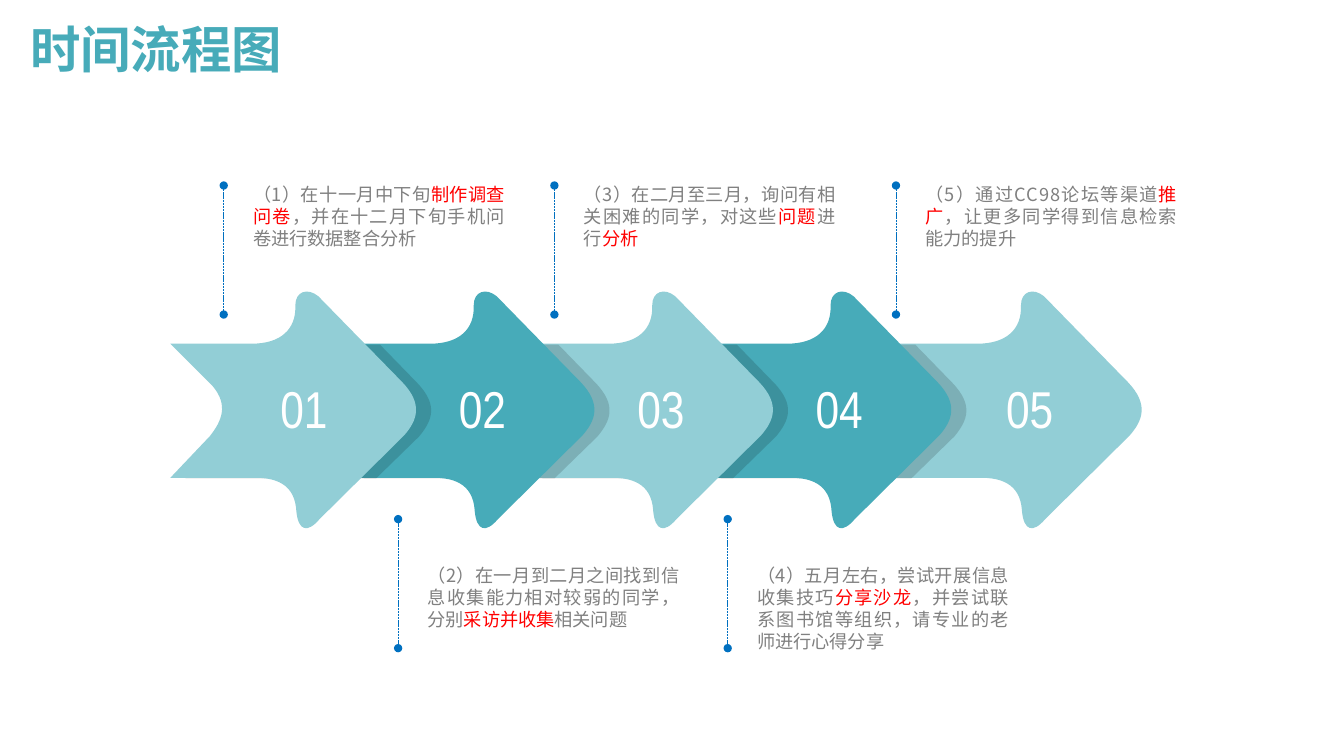
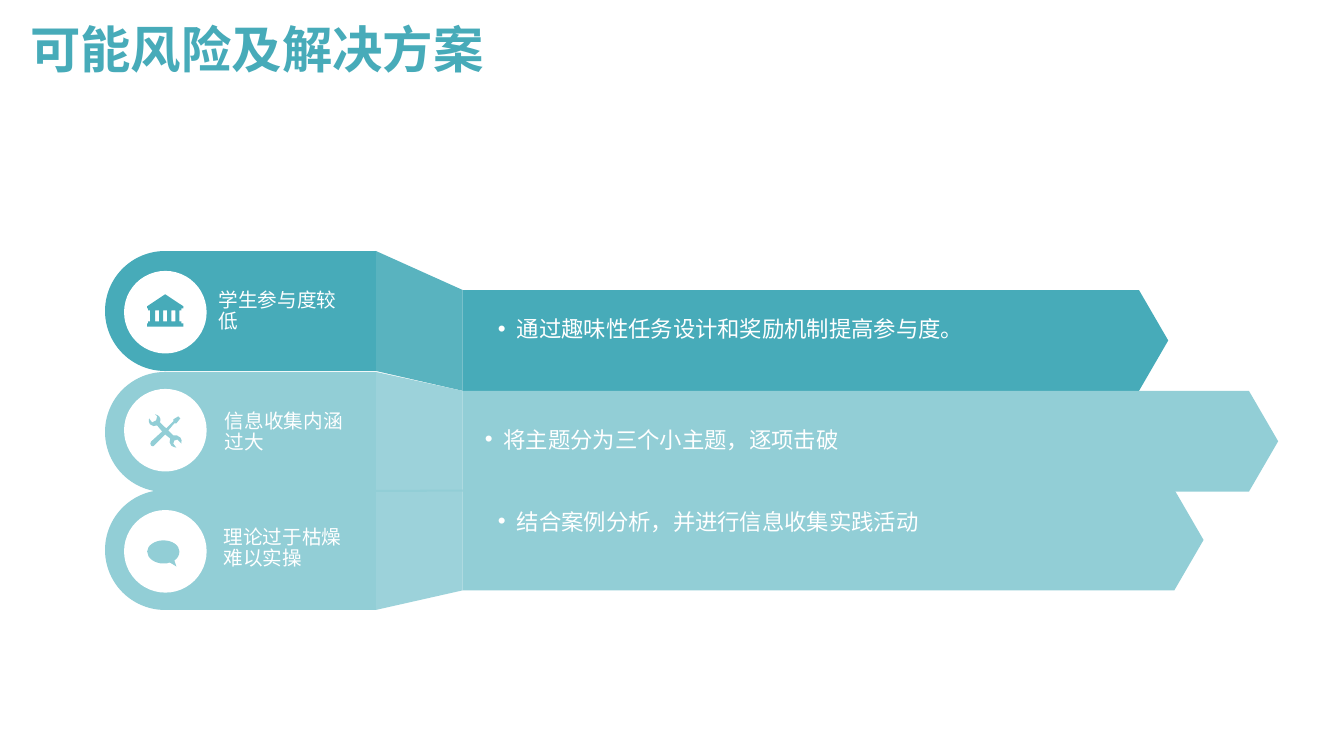
import pptx
import pptx.dml.color
import pptx.enum.dml
import pptx.enum.shapes
import pptx.enum.text
import pptx.oxml
import pptx.oxml.ns
import pptx.util

Pt = pptx.util.Pt
qn = pptx.oxml.ns.qn
PRESET = pptx.enum.shapes.MSO_SHAPE
ALIGN = pptx.enum.text.PP_ALIGN

COLORS = {
    "teal": "47ABB9",
    "pale": "92CED6",
    "blue": "0070C0",
    "gray": "808080",
    "red": "FF0000",
    "white": "FFFFFF",
    "black": "000000",
}
TITLE_FONT = "Montserrat"
NUMBER_FONT = "Arial Narrow"
BODY_FONT = "Noto Sans CJK SC"

# Outlines hold (x, y) for a line and (x1, y1, x2, y2, x, y) for a curve.
STEP_ARROW = [
    (0, 0), (58.3, 0), (78.5, 0, 90, -10, 89.3, -27.4),
    (89.3, -37.4, 98, -40.3, 105.8, -33.8), (165.6, 27.4),
    (180.7, 43.2, 176.4, 54.7, 167, 65.5), (106.6, 125.3),
    (98, 135.4, 91.4, 134, 90, 119.5), (89.3, 107.3, 83.5, 95.8, 61.2, 95.8),
    (0, 95.8), (28.1, 66.2), (36.7, 55.4, 41.8, 44, 30.2, 30.2),
]
STEP_SHADE = [
    (11.5, 0.7), (149.8, 0.7), (176.4, 28.1),
    (191.5, 44, 187.2, 54.7, 177.8, 66.2), (147, 96.2), (10.8, 96.2),
    (39, 67), (47.5, 56.2, 52.6, 44.6, 41, 31),
]
BANK = [
    [(34, 16), (34, 14), (36, 14), (36, 12), (18, 0), (0, 12), (0, 14), (1, 14),
     (1, 16), (3, 16), (3, 27), (1, 27), (1, 29), (0, 29), (0, 32), (36, 32),
     (36, 29), (34, 29), (34, 27), (32, 27), (32, 16)],
] + [[(x + 4, 27), (x, 27), (x, 16), (x + 4, 16)] for x in (8, 16, 24)]
TOOLS = [[
    (32, 23), (30, 21, 27, 20, 25, 21), (20, 16), (26, 9), (28, 9), (32, 4),
    (30, 2), (25, 5), (25, 7), (18, 14), (12, 8), (13, 6, 12, 3, 11, 2),
    (10, 1, 8, 0, 7, 0), (9, 2), (8, 6), (4, 8), (1, 4), (0, 6, 1, 9, 2, 10),
    (4, 12, 7, 12, 9, 11), (14, 17), (3, 27), (2, 28, 2, 30, 3, 31),
    (4, 32, 6, 32, 6, 31), (17, 20), (22, 24), (21, 27, 21, 29, 23, 31),
    (25, 32, 26, 33, 28, 33), (25, 29), (26, 26), (29, 25), (33, 29),
    (34, 27, 33, 24, 32, 23),
]]
BUBBLE = [[
    (32, 11), (32, 5, 25, 0, 16, 0), (8, 0, 0, 5, 0, 11), (0, 18, 8, 23, 16, 23),
    (18, 23, 21, 23, 22, 22), (23, 22, 29, 26, 29, 26), (27, 20),
    (30, 18, 32, 15, 32, 11),
]]
ICON_SCALE = 0.72

# Marker x, letter spacing of the opening words, and text parts;
# every second part is highlighted.
STEPS = [
    (159.8, 0, ["（1）在十一月中下旬", "制作调查问卷", "，并在十二月下旬手机问卷进行数据整合分析"]),
    (284.4, 0, ["（2）在一月到二月之间找到信息收集能力相对较弱的同学，分别", "采访并收集", "相关问题"]),
    (396, 0, ["（3）在二月至三月，询问有相关困难的同学，对这些", "问题", "进行", "分析"]),
    (519.8, 0, ["（4）五月左右，尝试开展信息收集技巧", "分享沙龙", "，并尝试联系图书馆等组织，请专业的老师进行心得分享"]),
    (640, 0.7, ["（5）通过CC98论坛等渠道", "推广", "，让更多同学得到信息检索能力的提升"]),
]
ARROW_LEFTS = [121.7, 249.1, 376.6, 504, 640]
ARROW_TOP = 245.5

RISKS = [
    dict(color="teal", top=179.3, plate_top=207.2, plate_width=504, disc_top=193.5,
         risk="学生参与度较低", risk_at=(156.2, 207.5),
         answer="通过趣味性任务设计和奖励机制提高参与度。", answer_at=(355.7, 227.2),
         icon=BANK, icon_at=(105.1, 210.2)),
    dict(color="pale", top=265.7, plate_top=279.2, plate_width=582.5, disc_top=277.8,
         risk="信息收集内涵过大", risk_at=(160.6, 293.6),
         answer="将主题分为三个小主题，逐项击破", answer_at=(346.3, 306.4),
         icon=TOOLS, icon_at=(105.8, 296)),
    dict(color="pale", top=350, plate_top=349.7, plate_width=529.2, disc_top=364.3,
         risk="理论过于枯燥难以实操", risk_at=(159.8, 376.8),
         answer="结合案例分析，并进行信息收集实践活动", answer_at=(355.7, 365),
         icon=BUBBLE, icon_at=(105.1, 386)),
]
STRAP_HEIGHT, PLATE_HEIGHT = 85.7, 72
STRAP_LEFT, STRAP_RIGHT, PLATE_LEFT = 117.4, 268.5, 330.5


def rgb(color):
    return pptx.dml.color.RGBColor.from_string(COLORS[color])


def add_child(parent, tag, **attributes):
    child = parent.makeelement(qn(tag), {k: str(v) for k, v in attributes.items()})
    parent.append(child)
    return child


def paint(shape, color, opacity=100):
    shape.shadow.inherit = False
    shape.fill.solid()
    shape.fill.fore_color.rgb = rgb(color)
    shape.line.fill.background()
    if opacity < 100:
        fill_color = shape.element.spPr.find(qn("a:solidFill"))[0]
        add_child(fill_color, "a:alpha", val=opacity * 1000)


def add_preset(shapes, kind, left, top, width, height, color, opacity=100):
    shape = shapes.add_shape(kind, Pt(left), Pt(top), Pt(width), Pt(height))
    paint(shape, color, opacity)
    return shape


def flatten(outline, steps=24):
    """Turn the lines and cubic curves of an outline into plain points."""
    points = []
    for part in outline:
        if len(part) == 2:
            points.append(part)
            continue
        x0, y0 = points[-1]
        x1, y1, x2, y2, x3, y3 = part
        for step in range(1, steps + 1):
            t = step / steps
            a, b, c, d = (1 - t) ** 3, 3 * t * (1 - t) ** 2, 3 * t * t * (1 - t), t ** 3
            points.append((a * x0 + b * x1 + c * x2 + d * x3,
                           a * y0 + b * y1 + c * y2 + d * y3))
    return points


def add_outline(shapes, outlines, left, top, color, opacity=100, scale=1):
    """Draw closed outlines as one shape with true curves; inner ones become holes."""
    def place(x, y):
        return Pt(left + x * scale), Pt(top + y * scale)

    # Flattened points give the exact bounds; the drawn path keeps its curves.
    start, *rest = [place(*point) for point in flatten(outlines[0])]
    builder = shapes.build_freeform(*start, scale=1.0)
    builder.add_line_segments(rest, close=True)
    shape = builder.convert_to_shape()
    path = shape.element.spPr.find(".//" + qn("a:path"))
    for segment in list(path):
        path.remove(segment)
    for outline in outlines:
        for index, part in enumerate(outline):
            tag = "a:cubicBezTo" if len(part) == 6 else "a:lnTo" if index else "a:moveTo"
            segment = add_child(path, tag)
            for x, y in zip(part[::2], part[1::2]):
                x, y = place(x, y)
                add_child(segment, "a:pt", x=x - shape.left, y=y - shape.top)
        add_child(path, "a:close")
    paint(shape, color, opacity)


def add_text(shapes, parts, box, size, font, inset=(0, 0), spacing=None, bold=None,
             align=None, anchor=None, bullet=False, tracking=0):
    """Write one paragraph from (text, color) parts; tracking widens the first."""
    frame = shapes.add_textbox(*map(Pt, box)).text_frame
    frame.word_wrap = True
    frame.margin_left = frame.margin_right = Pt(inset[0])
    frame.margin_top = frame.margin_bottom = Pt(inset[1])
    if anchor is not None:
        frame.vertical_anchor = anchor
    paragraph = frame.paragraphs[0]
    if align is not None:
        paragraph.alignment = align
    if spacing:
        paragraph.line_spacing = Pt(spacing)
    if bullet:
        properties = paragraph._p.get_or_add_pPr()
        properties.set("marL", str(Pt(13.5)))
        properties.set("indent", str(Pt(-13.5)))
        add_child(properties, "a:buFont", typeface="Arial")
        add_child(properties, "a:buChar", char="•")
    paragraph.font.size = Pt(size)
    paragraph.font.name = font
    paragraph.font.bold = bold
    add_child(paragraph._p.pPr.find(qn("a:defRPr")), "a:ea", typeface=BODY_FONT)
    if len(parts) == 1:
        paragraph.font.color.rgb = rgb(parts[0][1])
    for text, color in parts:
        run = paragraph.add_run()
        run.text = text
        if len(parts) > 1:
            run.font.color.rgb = rgb(color)
    if tracking:
        paragraph.runs[0]._r.get_or_add_rPr().set("spc", str(round(tracking * 100)))


def add_titled_slide(deck, title):
    slide = deck.slides.add_slide(deck.slide_layouts[6])
    add_preset(slide.shapes, PRESET.RECTANGLE, 0, 70.6, 960, 469.4, "white", opacity=85)
    add_text(slide.shapes, [(title, "teal")], (14.4, 14.4, 828, 46), 36, TITLE_FONT,
             inset=(7.2, 3.6), spacing=37, bold=True,
             anchor=pptx.enum.text.MSO_ANCHOR.MIDDLE)
    return slide


def add_marker(shapes, x, top, bottom):
    """Draw a dashed vertical line with a dot at each end."""
    marker = shapes.add_connector(pptx.enum.shapes.MSO_CONNECTOR.STRAIGHT,
                                  Pt(x), Pt(bottom), Pt(x), Pt(top))
    marker.line.color.rgb = rgb("blue")
    marker.line.width = Pt(0.5)
    marker.line.dash_style = pptx.enum.dml.MSO_LINE.SQUARE_DOT
    properties = marker.element.spPr
    line = properties.find(qn("a:ln"))
    for end in ("a:headEnd", "a:tailEnd"):
        add_child(line, end, type="oval")
    add_child(properties, "a:effectLst")


def add_step(shapes, index):
    left = ARROW_LEFTS[index]
    step = shapes.add_group_shape().shapes
    if index < len(ARROW_LEFTS) - 1:
        add_outline(step, [STEP_SHADE], left, ARROW_TOP, "black", opacity=15)
    add_outline(step, [STEP_ARROW], left, ARROW_TOP, "teal" if index % 2 else "pale")
    add_text(step, [(f"{index + 1:02}", "white")], (left + 71.5, 265.5, 54, 52), 37,
             NUMBER_FONT, inset=(7.2, 3.6))


def add_step_note(shapes, index):
    x, tracking, texts = STEPS[index]
    below = index % 2
    marker_top = 370.8 if below else 132.5
    note_top = 398.2 if below else 126
    add_marker(shapes, x, marker_top, marker_top + 92.2)
    parts = [(text, "red" if i % 2 else "gray") for i, text in enumerate(texts)]
    add_text(shapes, parts, (x + 11.6, note_top, 198.7, 57), 13, BODY_FONT,
             inset=(9.5, 5), spacing=15.7, align=ALIGN.JUSTIFY, tracking=tracking)


def add_risk_band(shapes, row):
    band = shapes.add_group_shape().shapes
    color, top, plate_top = row["color"], row["top"], row["plate_top"]
    plate = add_preset(band, PRESET.PENTAGON, PLATE_LEFT, plate_top,
                       row["plate_width"], PLATE_HEIGHT, color)
    plate.adjustments[0] = 0.29
    add_preset(band, PRESET.RECTANGLE, STRAP_LEFT, top,
               STRAP_RIGHT - STRAP_LEFT, STRAP_HEIGHT, color)
    fold = [(STRAP_RIGHT, top), (PLATE_LEFT, plate_top),
            (PLATE_LEFT, plate_top + PLATE_HEIGHT), (STRAP_RIGHT, top + STRAP_HEIGHT)]
    add_outline(band, [fold], 0, 0, color, opacity=90)
    add_preset(band, PRESET.OVAL, 75, top, STRAP_HEIGHT, STRAP_HEIGHT, color)


def add_risk_content(shapes, row):
    add_preset(shapes, PRESET.OVAL, 88.6, row["disc_top"], 59, 59, "white")
    add_outline(shapes, row["icon"], *row["icon_at"], row["color"], scale=ICON_SCALE)
    add_text(shapes, [(row["risk"], "white")], (*row["risk_at"], 92.2, 33), 14,
             BODY_FONT, spacing=15)
    add_text(shapes, [(row["answer"], "white")], (*row["answer_at"], 440, 58), 16,
             BODY_FONT, spacing=17, bullet=True)


def main():
    deck = pptx.Presentation()
    deck.slide_width, deck.slide_height = Pt(960), Pt(540)

    timeline = add_titled_slide(deck, "时间流程图").shapes
    for index in reversed(range(len(STEPS))):
        add_step(timeline, index)
    for index in range(len(STEPS)):
        add_step_note(timeline, index)

    risks = add_titled_slide(deck, "可能风险及解决方案").shapes
    for row in RISKS:
        add_risk_band(risks, row)
    for row in RISKS:
        add_risk_content(risks, row)

    deck.save("out.pptx")


if __name__ == "__main__":
    main()
